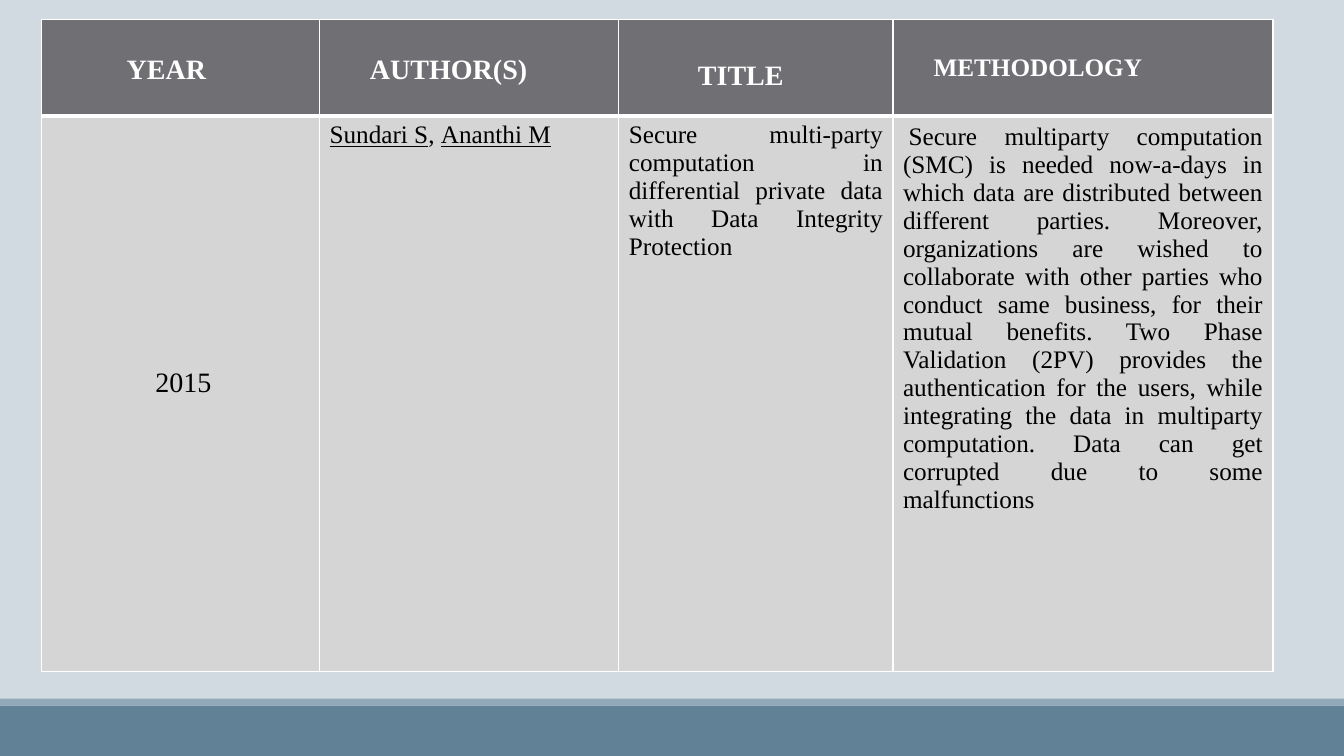
import pptx
import pptx.dml.color
import pptx.enum.shapes
import pptx.enum.text
import pptx.oxml
import pptx.oxml.ns
import pptx.util
from lxml import etree

Pt = pptx.util.Pt
RGBColor = pptx.dml.color.RGBColor
ALIGN = pptx.enum.text.PP_ALIGN

BACKGROUND = RGBColor(0xD1, 0xD9, 0xE1)
BAND = RGBColor(0x61, 0x81, 0x97)
BAND_EDGE = RGBColor(0x92, 0xA9, 0xB9)
HEADER_FILL = RGBColor(0x6F, 0x6F, 0x74)
BODY_FILL = RGBColor(0xD5, 0xD5, 0xD6)
WHITE = RGBColor(0xFF, 0xFF, 0xFF)
BLACK = RGBColor(0x00, 0x00, 0x00)

FONT = "Times New Roman"
SLIDE_WIDTH, SLIDE_HEIGHT = 960, 540
COLUMN_WIDTHS = (198.72, 213.84, 195.84, 271.44)
ROW_HEIGHTS = (69.12, 396.72)

HEADERS = (
    ("YEAR", {"left": 61, "top": 25.2, "size": 20}),
    ("AUTHOR(S)", {"left": 36, "top": 25.2, "size": 20}),
    ("TITLE", {"left": 56.5, "top": 29.4, "size": 20}),
    ("METHODOLOGY", {"left": 29, "top": 25.2, "size": 18}),
)
STUDY = (
    ("2015", {"left": 11.6, "top": 179.6, "size": 20, "align": ALIGN.CENTER}),
    ("Sundari S, Ananthi M", {"underlined": ("Sundari S", "Ananthi M")}),
    ("Secure multi-party computation in differential private data with "
     "Data Integrity Protection", {}),
    ("Secure multiparty computation (SMC) is needed now-a-days in which data are "
     "distributed between different parties. Moreover, organizations are wished to "
     "collaborate with other parties who conduct same business, for their mutual "
     "benefits. Two Phase Validation (2PV) provides the authentication for the users, "
     "while integrating the data in multiparty computation. Data can get corrupted "
     "due to some malfunctions", {"top": 5.2, "indent": 4}),
)


def write_text(cell, text, left=7.2, top=3.6, size=18, color=BLACK, bold=False,
               align=ALIGN.JUSTIFY, indent=0, underlined=()):
    """Write one formatted paragraph into a cell, underlining the listed names."""
    cell.margin_left, cell.margin_top = Pt(left), Pt(top)
    paragraph = cell.text_frame.paragraphs[0]
    paragraph.alignment = align
    if indent:
        paragraph._p.get_or_add_pPr().set("indent", str(Pt(indent)))
    pieces = []
    for name in underlined:
        before, text = text.split(name, 1)
        pieces += [(before, False), (name, True)]
    pieces.append((text, False))
    for piece, underline in pieces:
        if piece:
            run = paragraph.add_run()
            run.text = piece
            run.font.name, run.font.size = FONT, Pt(size)
            run.font.bold, run.font.underline = bold, underline
            run.font.color.rgb = color


def draw_borders(cell, **widths):
    """Give a cell white borders, one point wide unless a side is named."""
    properties = cell._tc.get_or_add_tcPr()
    for side in "LRTB":
        line = etree.SubElement(properties, pptx.oxml.ns.qn(f"a:ln{side}"),
                                w=str(Pt(widths.get(side, 1))))
        fill = etree.SubElement(line, pptx.oxml.ns.qn("a:solidFill"))
        etree.SubElement(fill, pptx.oxml.ns.qn("a:srgbClr"), val=str(WHITE))


def add_band(slide, left, top, width, height, color):
    """Add a plain filled rectangle."""
    shape = slide.shapes.add_shape(pptx.enum.shapes.MSO_SHAPE.RECTANGLE,
                                   Pt(left), Pt(top), Pt(width), Pt(height))
    shape.shadow.inherit = False
    shape.fill.solid()
    shape.fill.fore_color.rgb = color
    shape.line.fill.background()


def add_footer(slide, left, top, width, height):
    """Add the bottom band with its thin upper edge."""
    edge = 5
    add_band(slide, left, top + edge, width, height - edge, BAND)
    add_band(slide, left, top, width, edge, BAND_EDGE)


def add_survey_table(slide, left, top):
    """Add the literature table with its header row and one study."""
    table = slide.shapes.add_table(
        len(ROW_HEIGHTS), len(COLUMN_WIDTHS), Pt(left), Pt(top),
        Pt(sum(COLUMN_WIDTHS)), Pt(sum(ROW_HEIGHTS))).table
    for column, width in zip(table.columns, COLUMN_WIDTHS):
        column.width = Pt(width)
    for row, height in zip(table.rows, ROW_HEIGHTS):
        row.height = Pt(height)
    header_format = {"color": WHITE, "bold": True, "align": ALIGN.LEFT}
    rows = ((HEADERS, HEADER_FILL, header_format, {"B": 3}),
            (STUDY, BODY_FILL, {}, {"T": 3}))
    for row, (entries, fill, row_format, borders) in zip(table.rows, rows):
        for cell, (text, text_format) in zip(row.cells, entries):
            write_text(cell, text, **row_format | text_format)
            draw_borders(cell, **borders)
            cell.fill.solid()
            cell.fill.fore_color.rgb = fill


def main():
    """Build the slide and save it."""
    presentation = pptx.Presentation()
    presentation.slide_width = Pt(SLIDE_WIDTH)
    presentation.slide_height = Pt(SLIDE_HEIGHT)
    slide = presentation.slides.add_slide(presentation.slide_layouts[6])
    slide.background.fill.solid()
    slide.background.fill.fore_color.rgb = BACKGROUND
    add_footer(slide, 0, 499, SLIDE_WIDTH, SLIDE_HEIGHT - 499)
    add_survey_table(slide, 29.52, 13.68)
    presentation.save("out.pptx")


if __name__ == "__main__":
    main()
